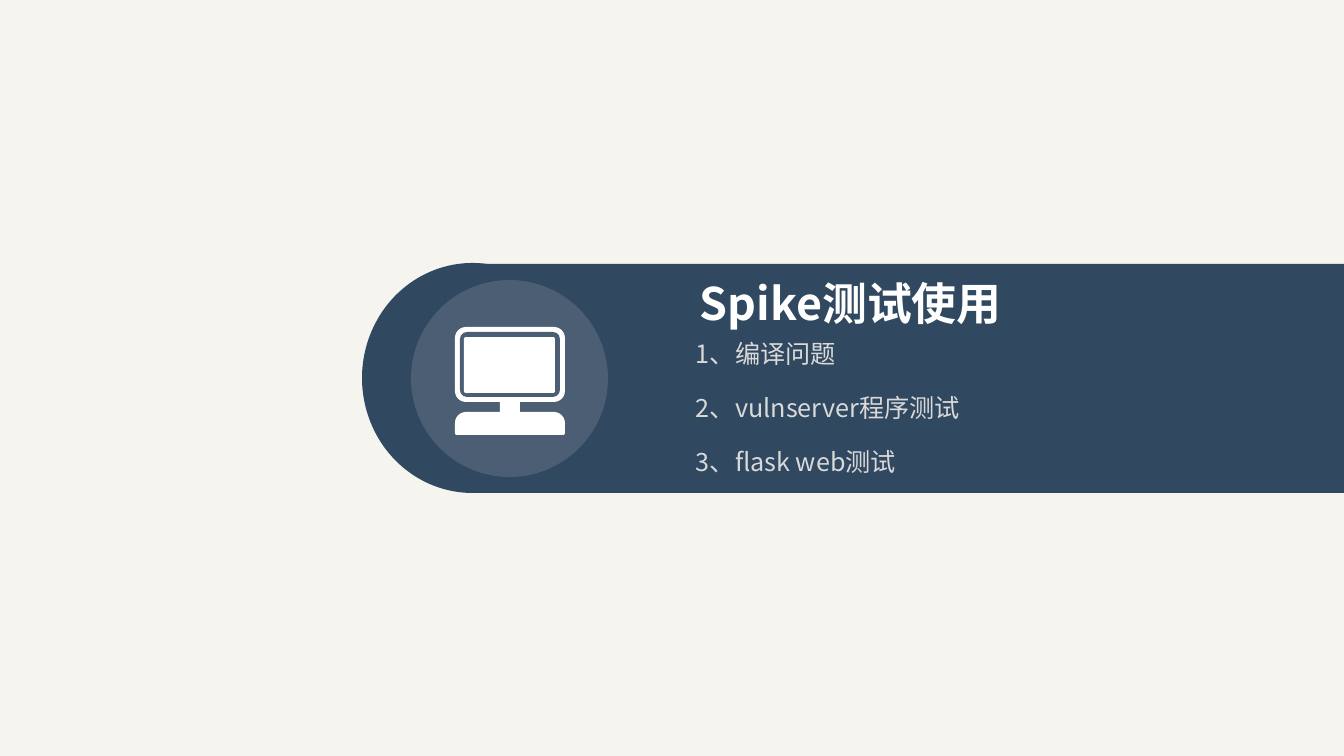
from typing import NamedTuple

from lxml.etree import SubElement
from pptx import Presentation
from pptx.dml.color import RGBColor
from pptx.enum.shapes import MSO_SHAPE as Kind
from pptx.enum.text import MSO_ANCHOR as Anchor
from pptx.oxml.ns import qn
from pptx.util import Emu, Pt

WIDE, HIGH = 1344, 756
SCALE = 12192000 / WIDE
FACE = "Noto Sans CJK SC"
PAPER, NAVY, SLATE, WHITE, GREY = "F5F4EF", "304860", "4C5E74", "FFFFFF", "D9D9D9"


class Box(NamedTuple):
    x: int
    y: int
    w: int
    h: int


class Part(NamedTuple):
    kind: Kind
    box: Box
    color: str
    radii: tuple[int, ...] = ()


class Label(NamedTuple):
    text: str
    box: Box
    size: int
    color: str
    bold: bool = False
    inset: int = 0


def px(n: int) -> Emu:
    return Emu(round(n * SCALE))


def paint(fill, color: str) -> None:
    fill.solid()
    fill.fore_color.rgb = RGBColor.from_string(color)


def draw(slide, part: Part) -> None:
    shape = slide.shapes.add_shape(part.kind, *map(px, part.box))
    shape.shadow.inherit = False
    paint(shape.fill, part.color)
    shape.line.fill.background()
    for i, radius in enumerate(part.radii):
        shape.adjustments[i] = radius / min(part.box.w, part.box.h)


def write(slide, label: Label) -> None:
    frame = slide.shapes.add_textbox(*map(px, label.box)).text_frame
    frame.word_wrap = True
    frame.vertical_anchor = Anchor.MIDDLE
    frame.margin_left = frame.margin_right = px(label.inset)
    frame.margin_top = frame.margin_bottom = 0
    para = frame.paragraphs[0]
    para.text = label.text
    font = para.font
    font.name, font.size, font.bold = FACE, Pt(label.size), label.bold
    font.color.rgb = RGBColor.from_string(label.color)
    # East Asian glyphs use the same face
    props = para._p.pPr.find(qn("a:defRPr"))
    SubElement(props, qn("a:ea"), typeface=FACE)


PARTS = [
    # Banner with a round left end
    Part(Kind.OVAL, Box(362, 263, 221, 230), NAVY),
    Part(Kind.RECTANGLE, Box(469, 264, 875, 229), NAVY),
    # Disc behind the icon
    Part(Kind.OVAL, Box(411, 280, 197, 197), SLATE),
    # Computer: case, bezel, screen, stand, base
    Part(Kind.ROUNDED_RECTANGLE, Box(455, 327, 110, 75), WHITE, (11,)),
    Part(Kind.ROUNDED_RECTANGLE, Box(460, 332, 100, 65), SLATE, (7,)),
    Part(Kind.ROUNDED_RECTANGLE, Box(464, 337, 91, 56), WHITE, (2,)),
    Part(Kind.RECTANGLE, Box(500, 401, 20, 12), WHITE),
    Part(Kind.ROUND_2_SAME_RECTANGLE, Box(455, 412, 110, 23), WHITE, (11, 2)),
]

TOPICS = ["1、编译问题", "2、vulnserver程序测试", "3、flask web测试"]
LABELS = [
    Label(text, Box(696, 338 + 54 * i, 383, 30), 18, GREY)
    for i, text in enumerate(TOPICS)
] + [Label("Spike测试使用", Box(690, 270, 365, 65), 32, WHITE, True, 10)]


def main() -> None:
    deck = Presentation()
    deck.slide_width, deck.slide_height = px(WIDE), px(HIGH)
    slide = deck.slides.add_slide(deck.slide_layouts[6])
    paint(slide.background.fill, PAPER)
    for part in PARTS:
        draw(slide, part)
    for label in LABELS:
        write(slide, label)
    deck.save("out.pptx")


if __name__ == "__main__":
    main()
